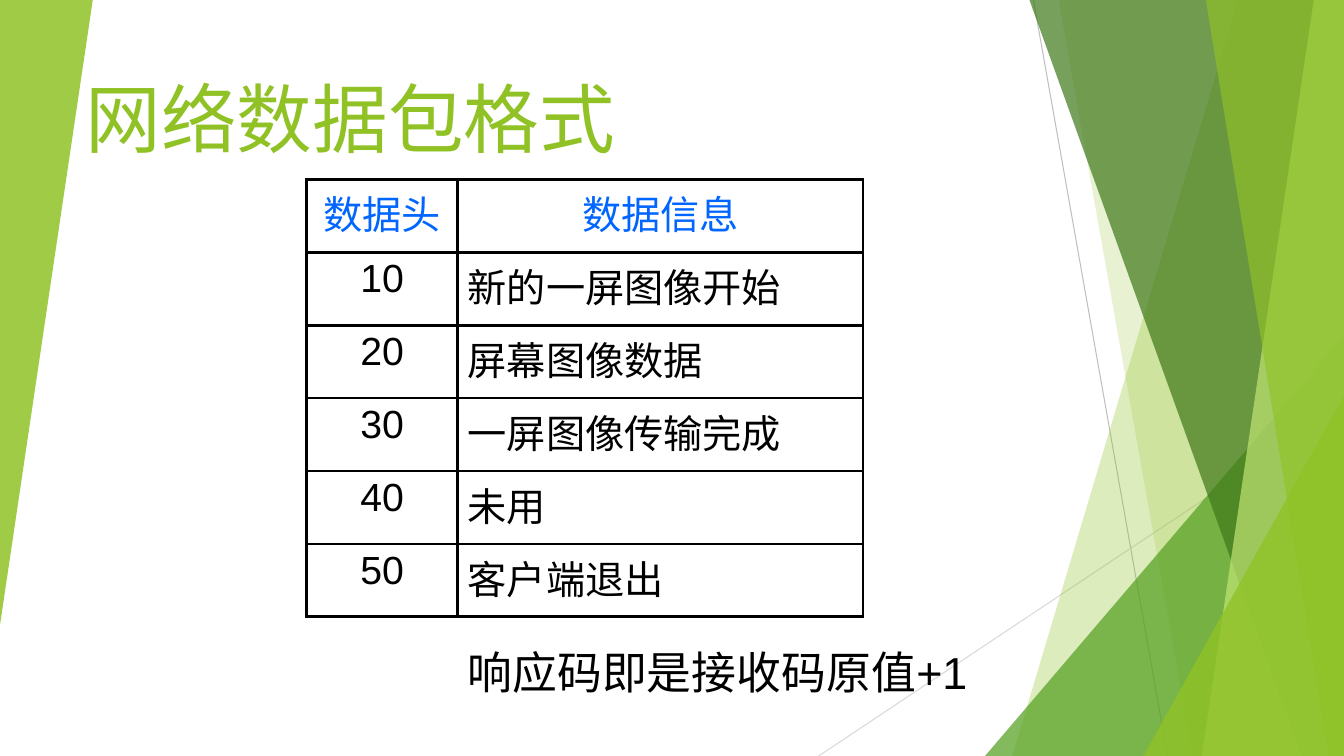
from typing import NamedTuple

from lxml import etree
from pptx import Presentation
from pptx.dml.color import RGBColor
from pptx.enum.shapes import MSO_CONNECTOR, MSO_SHAPE
from pptx.enum.text import MSO_ANCHOR as Anchor, MSO_AUTO_SIZE as AutoSize, PP_ALIGN as Align
from pptx.oxml import parse_xml
from pptx.oxml.ns import nsdecls, qn
from pptx.util import Inches, Pt

PAGE_W, PAGE_H = 13.33, 7.5
GREEN, BLUE, BLACK = "90C226", "0066FF", "000000"


class Ray(NamedTuple):
    x1: float
    y1: float
    x2: float
    y2: float
    color: str


class Blade(NamedTuple):
    """A band from a slanted left edge to the right side of the page."""
    top_x: float
    bottom_x: float
    color: str
    alpha: int


class Wedge(NamedTuple):
    left: float
    top: float
    width: float
    height: float
    color: str
    alpha: int
    turn: int = 0


RAYS = [Ray(10.25, 0, 11.58, PAGE_H, "BFBFBF"),
        Ray(PAGE_W, 4.03, 8.12, PAGE_H, "D9D9D9")]
PANELS = [
    Blade(12.28, 10.04, GREEN, 30),
    Blade(10.5, 11.83, GREEN, 20),
    Wedge(9.77, 3.33, 3.56, 4.17, "54A021", 72),
    Blade(10.21, 12.91, "3F7819", 70),
    Blade(13.03, 11.92, "C0E474", 70),
    Blade(11.96, 13.18, GREEN, 65),
    Wedge(11.34, 3.93, 1.99, 3.57, GREEN, 80),
    Wedge(0, 0, 0.92, 6.2, GREEN, 85, turn=180),
]
PACKET_ROWS = [
    ("数据头", "数据信息"),
    ("10", "新的一屏图像开始"),
    ("20", "屏幕图像数据"),
    ("30", "一屏图像传输完成"),
    ("40", "未用"),
    ("50", "客户端退出"),
]


def rgb(color: str) -> RGBColor:
    return RGBColor.from_string(color)


def write(frame, text: str, *, size: float, color: str, font: str = "Arial", align=Align.LEFT) -> None:
    para = frame.paragraphs[0]
    para.alignment = align
    span = para.add_run()
    span.text = text
    span.font.name = font
    span.font.size = Pt(size)
    span.font.color.rgb = rgb(color)


def paint(shape, color: str, alpha: int) -> None:
    shape.shadow.inherit = False
    shape.line.fill.background()
    shape.fill.solid()
    shape.fill.fore_color.rgb = rgb(color)
    tint = shape.fill._xPr.find(qn("a:solidFill"))[0]
    etree.SubElement(tint, qn("a:alpha")).set("val", str(alpha * 1000))


def draw_ray(page, ray: Ray) -> None:
    line = page.shapes.add_connector(MSO_CONNECTOR.STRAIGHT, Inches(ray.x1), Inches(ray.y1),
                                     Inches(ray.x2), Inches(ray.y2))
    line.line.color.rgb = rgb(ray.color)
    line.line.width = Pt(0.75)
    etree.SubElement(line._element.spPr, qn("a:effectLst"))


def draw_blade(page, blade: Blade) -> None:
    outline = page.shapes.build_freeform(Inches(blade.top_x), 0)
    corners = [(PAGE_W, 0), (PAGE_W, PAGE_H), (blade.bottom_x, PAGE_H)]
    outline.add_line_segments([(Inches(x), Inches(y)) for x, y in corners], close=True)
    paint(outline.convert_to_shape(), blade.color, blade.alpha)


def draw_wedge(page, wedge: Wedge) -> None:
    shape = page.shapes.add_shape(MSO_SHAPE.ISOSCELES_TRIANGLE, Inches(wedge.left), Inches(wedge.top),
                                  Inches(wedge.width), Inches(wedge.height))
    shape.adjustments[0] = 1
    shape.rotation = wedge.turn
    paint(shape, wedge.color, wedge.alpha)


def add_borders(cell) -> None:
    props = cell._tc.get_or_add_tcPr()
    for index, side in enumerate(("lnL", "lnR", "lnT", "lnB")):
        props.insert(index, parse_xml(
            f'<a:{side} {nsdecls("a")} w="{Pt(2.25)}"><a:solidFill>'
            f'<a:srgbClr val="{BLACK}"/></a:solidFill></a:{side}>'))


def draw_packet_table(page) -> None:
    frame = page.shapes.add_table(len(PACKET_ROWS), 2, Inches(3.04), Inches(1.78),
                                  Inches(5.52), Inches(4.34))
    table = frame.table
    table.first_row = table.horz_banding = False
    for column, width in zip(table.columns, (1.5, 4.02)):
        column.width = Inches(width)
    for r, texts in enumerate(PACKET_ROWS):
        for c, text in enumerate(texts):
            cell = table.cell(r, c)
            cell.fill.background()
            add_borders(cell)
            write(cell.text_frame, text, size=28, color=BLUE if r == 0 else BLACK,
                  align=Align.LEFT if r and c else Align.CENTER)


def main() -> None:
    deck = Presentation()
    deck.slide_width, deck.slide_height = Inches(PAGE_W), Inches(PAGE_H)
    page = deck.slides.add_slide(deck.slide_layouts[5])

    # Green facets behind the content
    for ray in RAYS:
        draw_ray(page, ray)
    for panel in PANELS:
        if isinstance(panel, Blade):
            draw_blade(page, panel)
        else:
            draw_wedge(page, panel)

    # Title, brought in front of the facets
    title = page.shapes.title
    title.left, title.top, title.width, title.height = map(Inches, (0.75, 0.6, 8.49, 1.12))
    title.text_frame.vertical_anchor = Anchor.MIDDLE
    write(title.text_frame, "网络数据包格式", size=54, color=GREEN, font="Cabin")
    page.shapes._spTree.append(title._element)

    # Packet format table
    draw_packet_table(page)

    # Note on the response code
    note = page.shapes.add_textbox(Inches(4.54), Inches(6.35), Inches(5.2), Inches(0.63))
    note.text_frame.word_wrap = True
    note.text_frame.auto_size = AutoSize.SHAPE_TO_FIT_TEXT
    write(note.text_frame, "响应码即是接收码原值+1", size=32, color=BLACK)

    deck.save("out.pptx")


if __name__ == "__main__":
    main()
